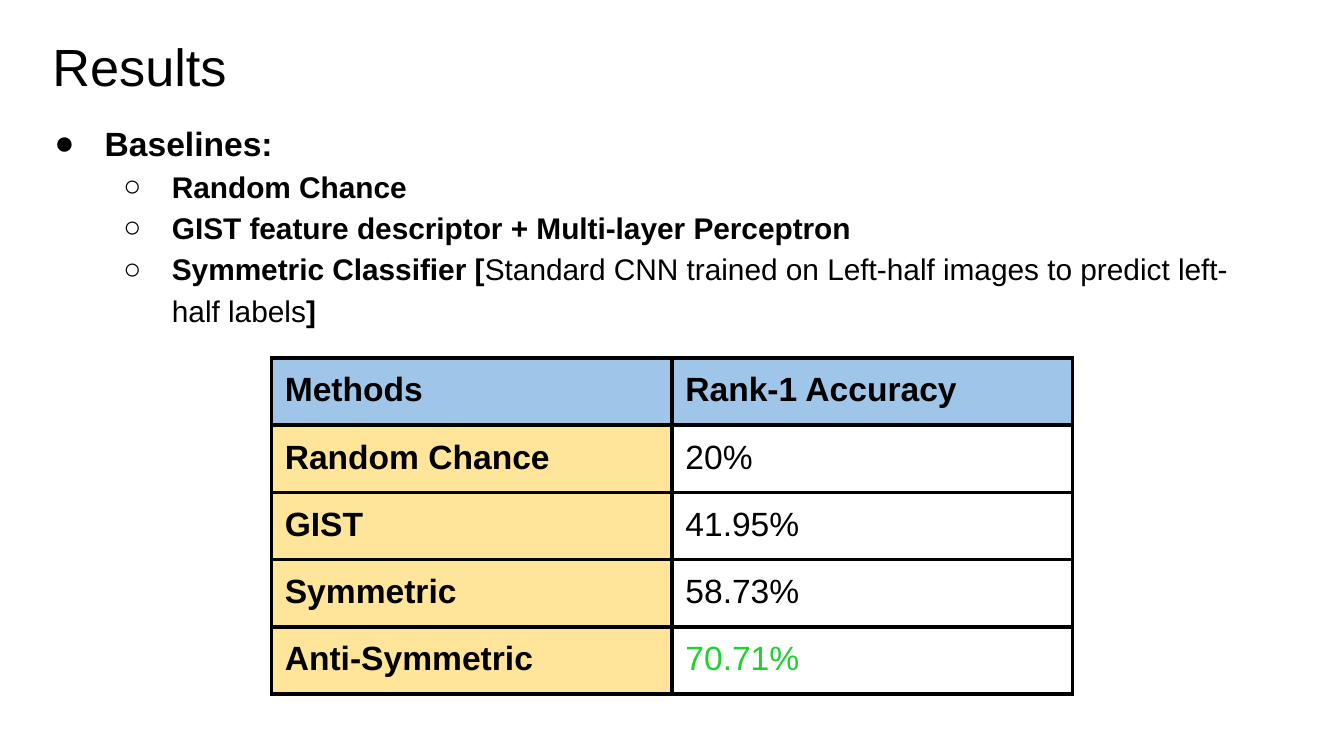
from lxml.etree import SubElement
from pptx import Presentation
from pptx.dml.color import RGBColor
from pptx.enum.text import MSO_ANCHOR
from pptx.oxml.ns import qn
from pptx.util import Pt

FONT = "Arial"
BLACK, GREEN, BLUE, YELLOW = "000000", "1ED12C", "9FC5E8", "FFE599"
MARGINS = {f"margin_{side}": Pt(7.2) for side in ("left", "top", "right", "bottom")}


def rgb(value):
    return RGBColor.from_string(value)


def set_format(target, values):
    for name, value in values.items():
        setattr(target, name, value)


def add_run(p, text, size, bold=False, color=BLACK):
    r = p.add_run()
    r.text = text
    set_format(r.font, {"name": FONT, "size": Pt(size), "bold": bold})
    r.font.color.rgb = rgb(color)


def add_text_box(slide, box):
    tf = slide.shapes.add_textbox(*map(Pt, box)).text_frame
    set_format(tf, {"word_wrap": True, "vertical_anchor": MSO_ANCHOR.TOP, **MARGINS})
    return tf


def set_bullet(p, char, indent, hanging, level):
    pPr = p._p.get_or_add_pPr()
    for name, value in {"marL": Pt(indent), "indent": -Pt(hanging), "lvl": level}.items():
        pPr.set(name, str(int(value)))
    color = SubElement(pPr, qn("a:buClr"))
    SubElement(color, qn("a:srgbClr"), val=BLACK)
    SubElement(pPr, qn("a:buFont"), typeface=FONT)
    SubElement(pPr, qn("a:buChar"), char=char)


def set_borders(cell, color, width):
    tcPr = cell._tc.get_or_add_tcPr()
    for i, side in enumerate(("lnL", "lnR", "lnT", "lnB")):
        ln = tcPr.makeelement(qn(f"a:{side}"), {"w": str(int(Pt(width)))})
        fill = SubElement(ln, qn("a:solidFill"))
        SubElement(fill, qn("a:srgbClr"), val=color)
        tcPr.insert(i, ln)  # borders come before the fill


def add_title(slide, box, text):
    tf = add_text_box(slide, box)
    add_run(tf.paragraphs[0], text, 28)


def add_baselines(slide, box, heading, items):
    tf = add_text_box(slide, box)

    # Heading bullet
    p = tf.paragraphs[0]
    p.line_spacing = 1.15
    set_bullet(p, "●", 36, 27, 0)
    add_run(p, heading, 18, bold=True)

    # Second-level bullets, made of (text, bold) runs
    for runs in items:
        p = tf.add_paragraph()
        p.line_spacing = 1.15
        set_bullet(p, "○", 72, 26, 1)
        for text, bold in runs:
            add_run(p, text, 16, bold)


def add_results_table(slide, box, rows):
    table = slide.shapes.add_table(len(rows), len(rows[0]), *map(Pt, box)).table
    set_format(table, {"first_row": False, "horz_banding": False})
    for i, row in enumerate(rows):
        for j, text in enumerate(row):
            cell = table.cell(i, j)
            set_format(cell, MARGINS)
            fill = BLUE if i == 0 else YELLOW if j == 0 else None
            if fill:
                cell.fill.solid()
                cell.fill.fore_color.rgb = rgb(fill)
            else:
                cell.fill.background()
            set_borders(cell, BLACK, 2.25)
            best = i == len(rows) - 1 and j == 1
            add_run(cell.text_frame.paragraphs[0], text, 18,
                    bold=fill is not None, color=GREEN if best else BLACK)


def main():
    prs = Presentation()
    set_format(prs, {"slide_width": Pt(720), "slide_height": Pt(405)})
    slide = prs.slides.add_slide(prs.slide_layouts[6])

    add_title(slide, (21, 11, 671, 45), "Results")
    add_baselines(slide, (13, 55.5, 671, 269), "Baselines:", [
        [("Random Chance", True)],
        [("GIST feature descriptor + Multi-layer Perceptron", True)],
        [("Symmetric Classifier [", True),
         ("Standard CNN trained on Left-half images to predict left-half labels", False),
         ("]", True)],
    ])
    add_results_table(slide, (145.4, 191.7, 429.2, 180), [
        ("Methods", "Rank-1 Accuracy"),
        ("Random Chance", "20%"),
        ("GIST", "41.95%"),
        ("Symmetric", "58.73%"),
        ("Anti-Symmetric", "70.71%"),
    ])
    prs.save("out.pptx")


if __name__ == "__main__":
    main()
